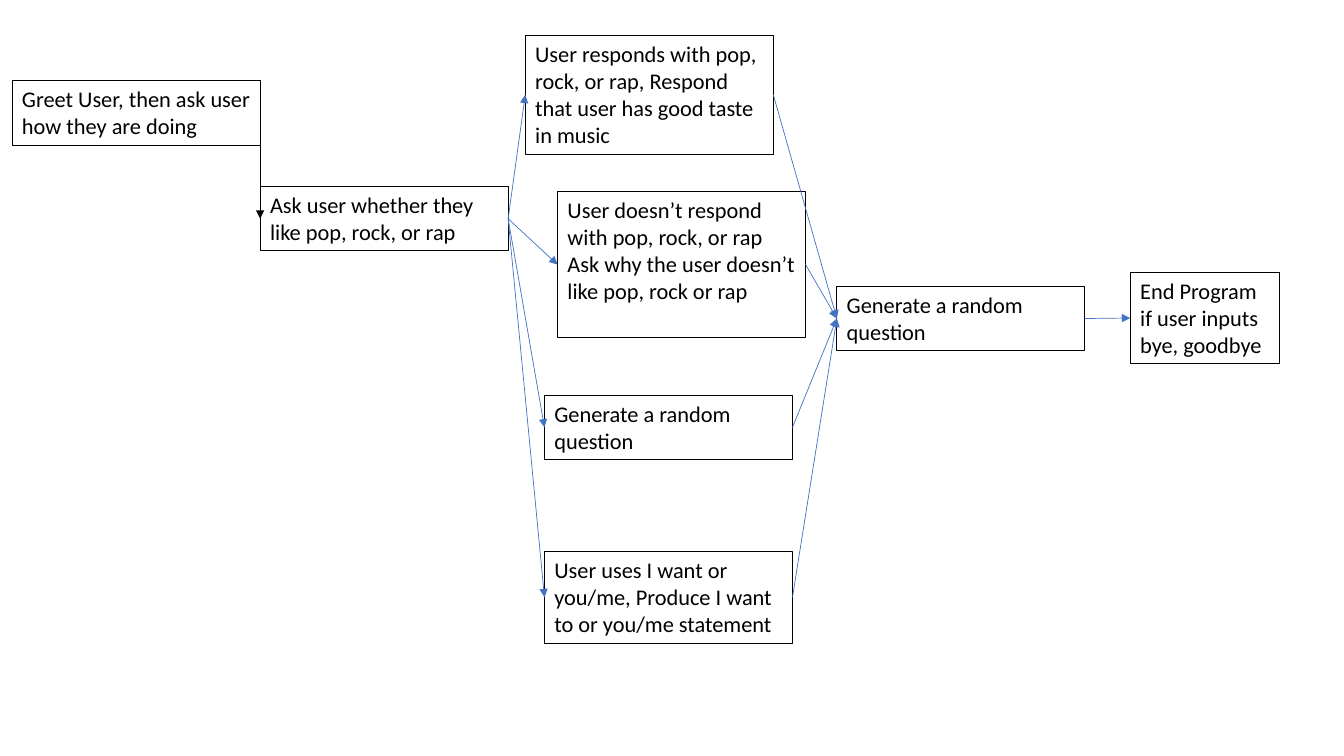
from lxml.etree import SubElement
from pptx import Presentation
from pptx.dml.color import RGBColor
from pptx.enum.shapes import MSO_CONNECTOR
from pptx.enum.text import MSO_ANCHOR, MSO_AUTO_SIZE
from pptx.oxml.ns import qn
from pptx.util import Inches, Pt

COLORS = {"ink": "000000", "arrow": "4472C4"}
LEFT, RIGHT = 1, 3
STEP_WIDTH = 2.46


class Flowchart:
    """Style of the chart and the slide it is drawn on."""

    font, size = "Calibri", Pt(16)
    box_line, arrow_line = Pt(0.75), Pt(0.5)

    def __init__(self, page):
        self.page = page

    def step(self, text, left, top, height, width=STEP_WIDTH):
        box = self.page.shapes.add_textbox(
            Inches(left), Inches(top), Inches(width), Inches(height))
        box.line.color.rgb = RGBColor.from_string(COLORS["ink"])
        box.line.width = self.box_line
        frame = box.text_frame
        frame.word_wrap = True
        frame.auto_size = MSO_AUTO_SIZE.NONE
        frame.vertical_anchor = MSO_ANCHOR.TOP
        frame.text = text
        for span in frame.paragraphs[0].runs:
            span.font.name = self.font
            span.font.size = self.size
            span.font.color.rgb = RGBColor.from_string(COLORS["ink"])
        return box

    def arrow(self, start, end, start_side=RIGHT, color="arrow"):
        link = self.page.shapes.add_connector(MSO_CONNECTOR.STRAIGHT, 0, 0, 0, 0)
        link.begin_connect(start, start_side)
        link.end_connect(end, LEFT)
        link.line.color.rgb = RGBColor.from_string(COLORS[color])
        link.line.width = self.arrow_line
        SubElement(link.line._get_or_add_ln(), qn("a:tailEnd"), type="triangle")
        SubElement(link._element.spPr, qn("a:effectLst"))


def main():
    deck = Presentation()
    deck.slide_width, deck.slide_height = Inches(13.33), Inches(7.5)
    chart = Flowchart(deck.slides.add_slide(deck.slide_layouts[6]))

    # Opening steps
    greeting = chart.step("Greet User, then ask user how they are doing", 0.12, 0.8, 0.64)
    music = chart.step("Ask user whether they like pop, rock, or rap", 2.58, 1.85, 0.64)

    # Possible responses
    responses = [
        chart.step("User responds with pop, rock, or rap, Respond that user has "
                   "good taste in music", 5.21, 0.35, 1.18),
        chart.step("User doesn’t respond with pop, rock, or rap Ask why the user "
                   "doesn’t like pop, rock or rap", 5.53, 1.9, 1.45),
        chart.step("Generate a random question", 5.4, 3.92, 0.64),
        chart.step("User uses I want or you/me, Produce I want to or you/me "
                   "statement", 5.4, 5.47, 0.91),
    ]

    # Closing steps
    ending = chart.step("End Program if user inputs bye, goodbye", 11.21, 2.7, 0.91, 1.48)
    question = chart.step("Generate a random question", 8.3, 2.84, 0.64)

    # Arrows between the steps
    chart.arrow(greeting, music, color="ink")
    for response in responses:
        chart.arrow(music, response)
        chart.arrow(response, question)
    chart.arrow(question, ending)

    deck.save("out.pptx")


if __name__ == "__main__":
    main()
